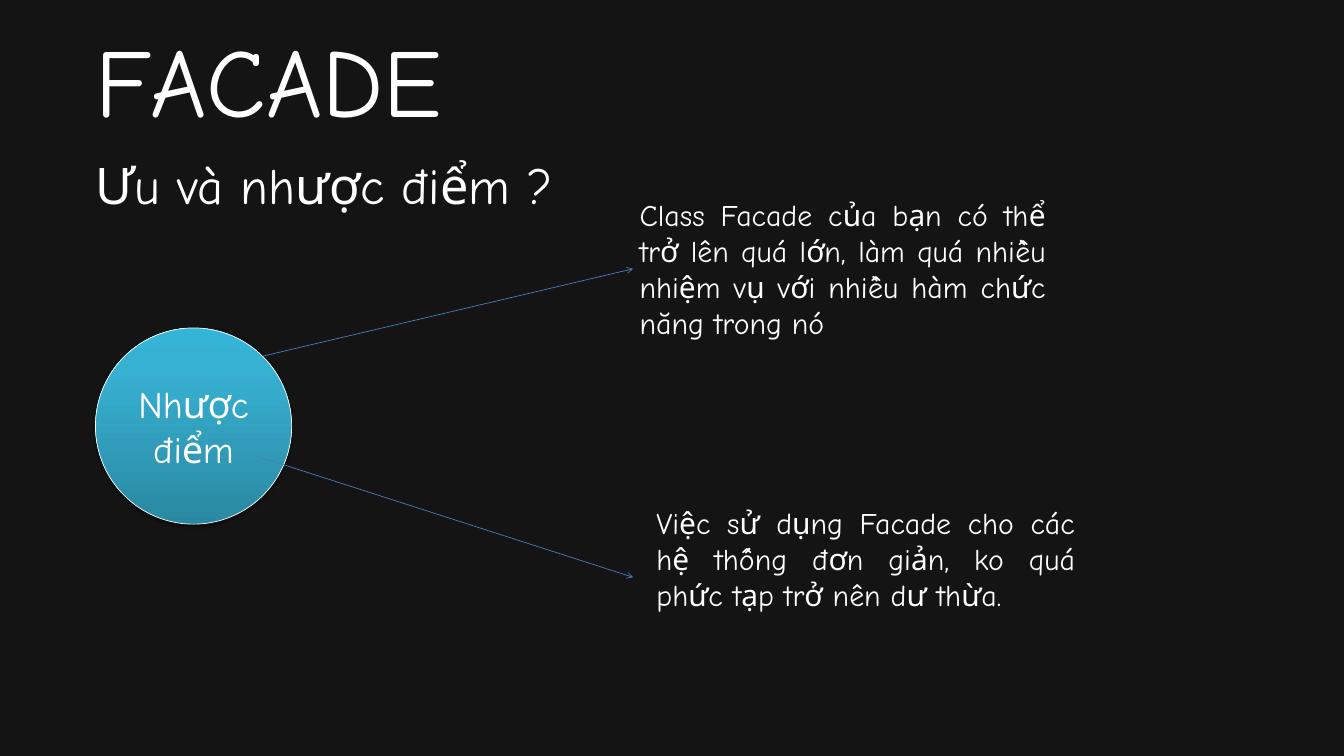
from copy import deepcopy

from lxml import etree
from pptx import Presentation
from pptx.dml.color import RGBColor
from pptx.enum.dml import MSO_THEME_COLOR
from pptx.enum.shapes import MSO_CONNECTOR, MSO_SHAPE
from pptx.enum.text import MSO_ANCHOR, MSO_AUTO_SIZE, PP_ALIGN
from pptx.oxml import parse_xml
from pptx.oxml.ns import nsdecls, qn
from pptx.util import Inches, Pt

STRAIGHT = MSO_CONNECTOR.STRAIGHT
OVAL = MSO_SHAPE.OVAL
TOP, MIDDLE = MSO_ANCHOR.TOP, MSO_ANCHOR.MIDDLE
FIT_SHAPE = MSO_AUTO_SIZE.SHAPE_TO_FIT_TEXT
LEFT, CENTER, JUSTIFY = PP_ALIGN.LEFT, PP_ALIGN.CENTER, PP_ALIGN.JUSTIFY

BACKGROUND = RGBColor(0x14, 0x14, 0x14)
WHITE = RGBColor(0xFF, 0xFF, 0xFF)
ARROW_BLUE = RGBColor(0x4B, 0x7E, 0xBC)
GRADIENT = [
    (0, RGBColor(0x2A, 0x88, 0xA2)),
    (0.8, RGBColor(0x37, 0xB1, 0xD2)),
    (1, RGBColor(0x34, 0xB4, 0xD6)),
]
FONT = "Comic Neue"


def write(shape, text, size, alignment, anchor=TOP):
    frame = shape.text_frame
    frame.word_wrap = True
    frame.vertical_anchor = anchor
    paragraph = frame.paragraphs[0]
    paragraph.alignment = alignment
    run = paragraph.add_run()
    run.text = text
    run.font.name = FONT
    run.font.size = Pt(size)
    run.font.color.rgb = WHITE
    return frame


presentation = Presentation()
presentation.slide_width = Inches(20)
presentation.slide_height = Inches(11.25)
slide = presentation.slides.add_slide(presentation.slide_layouts[5])
slide.background.fill.solid()
slide.background.fill.fore_color.rgb = BACKGROUND

title = slide.shapes.title
title.left, title.top = Inches(1.42), Inches(0.79)
title.width, title.height = Inches(16.99), Inches(1.26)
subtitle = slide.shapes.add_textbox(Inches(1.42), Inches(1.95), Inches(16.99), Inches(1.26))
for heading, text, size in [(title, "FACADE", 104), (subtitle, "Ưu và nhược điểm ?", 54)]:
    frame = write(heading, text, size, LEFT)
    frame.margin_left = frame.margin_right = 0
    frame.margin_top = frame.margin_bottom = 0
    frame.auto_size = FIT_SHAPE
    frame.paragraphs[0].line_spacing = Pt(90)

circle = slide.shapes.add_shape(OVAL, Inches(1.42), Inches(4.88), Inches(2.92), Inches(2.92))
circle.fill.gradient()
circle.fill.gradient_angle = 90
stop_list = circle.fill._fill._gradFill.find(qn("a:gsLst"))
stop_list.append(deepcopy(stop_list[-1]))
for stop, (position, color) in zip(circle.fill.gradient_stops, GRADIENT):
    stop.position = position
    stop.color.theme_color = MSO_THEME_COLOR.ACCENT_1
    stop.color.rgb = color
circle.line.color.rgb = WHITE
circle.line.width = Pt(0.75)
circle.shadow.inherit = False
circle._element.spPr.find(qn("a:effectLst")).append(parse_xml(
    f'<a:outerShdw {nsdecls("a")} blurRad="{Pt(3.1)}" dist="{Pt(1.8)}" dir="5400000" rotWithShape="0">'
    '<a:srgbClr val="000000"><a:alpha val="35000"/></a:srgbClr></a:outerShdw>'
))
write(circle, "Nhược điểm", 40, CENTER, MIDDLE)

drawbacks = [
    ((3.91, 5.3), (9.42, 4), (9.42, 2.88, 6.24, 2.25),
     "Class Facade của bạn có thể trở lên quá lớn, làm quá nhiều nhiệm vụ với nhiều hàm chức năng trong nó"),
    ((3.83, 6.79), (9.42, 8.59), (9.67, 7.46, 6.43, 1.72),
     "Việc sử dụng Facade cho các hệ thống đơn giản, ko quá phức tạp trở nên dư thừa."),
]
for start, end, box, text in drawbacks:
    arrow = slide.shapes.add_connector(STRAIGHT, *map(Inches, start + end))
    arrow.line.color.rgb = ARROW_BLUE
    arrow.line.width = Pt(0.75)
    etree.SubElement(arrow.line._get_or_add_ln(), qn("a:tailEnd"), type="arrow")
    etree.SubElement(arrow._element.spPr, qn("a:effectLst"))
    description = slide.shapes.add_textbox(*map(Inches, box))
    write(description, text, 32, JUSTIFY).auto_size = FIT_SHAPE

presentation.save("out.pptx")
